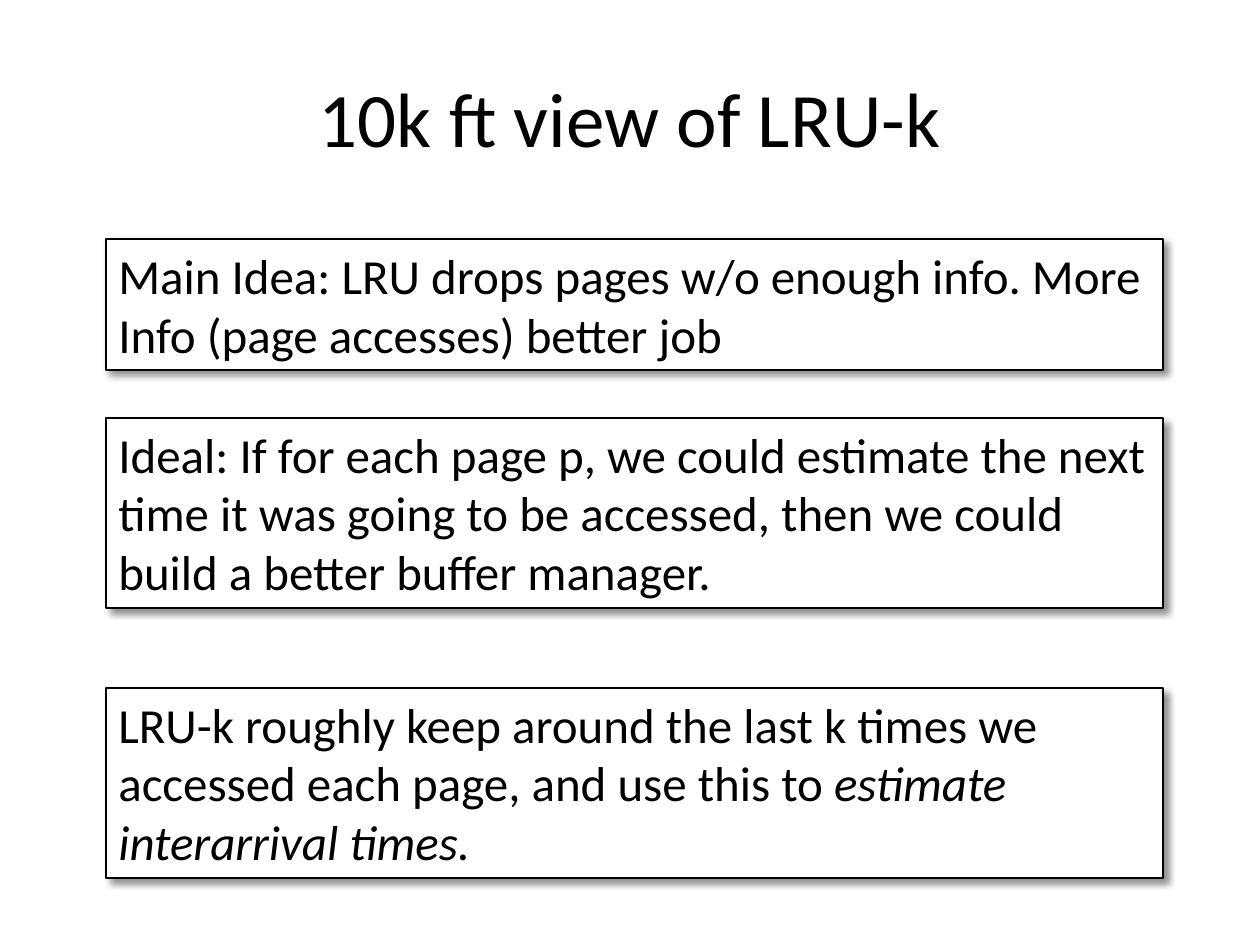
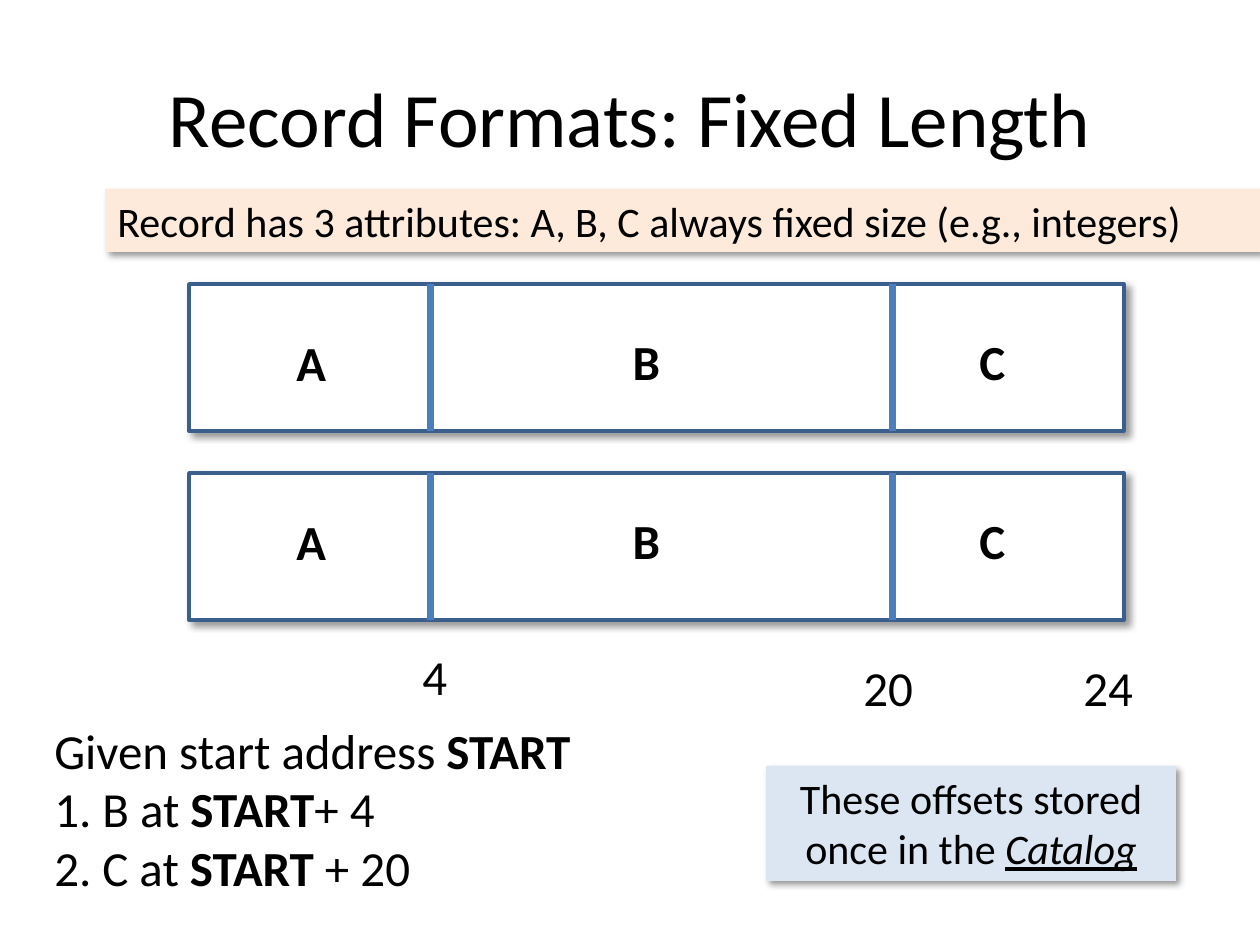
"""Build two database slides: the idea behind LRU-k and fixed-length records."""
from lxml.etree import SubElement
from pptx import Presentation
from pptx.dml.color import RGBColor
from pptx.enum.shapes import MSO_CONNECTOR, MSO_SHAPE
from pptx.enum.text import MSO_ANCHOR, PP_ALIGN
from pptx.oxml.ns import qn
from pptx.util import Pt

EMU_PER_PX = 914400 / 126
SLIDE_SIZE = (1260, 945)
FONT = "Calibri"
BLACK, WHITE = "000000", "FFFFFF"
PEACH, PALE_BLUE = "FDEADA", "DCE6F2"
RECORD_BORDER, DIVIDER = "3A5F8C", "4B7EBC"
TITLE_SIZE, BODY_SIZE, NOTE_SIZE = 44, 28, 24
TITLE_BOX = (63, 38, 1134, 158)

IDEA_LEFT, IDEA_WIDTH = 106, 1057
IDEAS = [
    (239, 131, [("Main Idea: LRU drops pages w/o enough info. More Info (page accesses) better job", "")]),
    (418, 190, [("Ideal: If for each page p, we could estimate the next time it was going to be "
                 "accessed, then we could build a better buffer manager.", "")]),
    (688, 190, [("LRU-k roughly keep around the last k times we accessed each page, and use this to ", ""),
                ("estimate interarrival times.", "i")]),
]

BANNER_BOX = (105, 189, 1155, 63)
BANNER = [("Record has 3 attributes: A, B, C always fixed size (e.g., integers)", "")]
RECORD_LEFT, RECORD_WIDTH, RECORD_HEIGHT = 189, 935, 147
RECORDS = [(284, 325), (473, 504)]
DIVIDERS = [431, 893]
FIELDS = [("A", 284, 1), ("B", 620, 0), ("C", 966, 0)]
LABEL_WIDTH, LABEL_HEIGHT = 53, 72
OFFSETS = [("4", 410, 640, LABEL_WIDTH), ("20", 851, 651, 95), ("24", 1071, 651, 95)]
ADDRESS_BOX = (42, 714, 577, 190)
ADDRESS = [
    [("Given start address ", ""), ("START", "b")],
    [("B at ", ""), ("START", "b"), ("+ 4", "")],
    [("C at ", ""), ("START", "b"), (" + 20", "")],
]
NUMBER_INDENT = 48
CATALOG_BOX = (766, 766, 410, 115)
CATALOG = [("These offsets stored once in the ", ""), ("Catalog", "iu")]


def px(length):
    return round(length * EMU_PER_PX)


def color(value):
    return RGBColor.from_string(value)


def number_paragraph(paragraph):
    properties = paragraph._p.get_or_add_pPr()
    properties.set("marL", str(px(NUMBER_INDENT)))
    properties.set("indent", str(-px(NUMBER_INDENT)))
    SubElement(properties, qn("a:buFont"), typeface="+mj-lt")
    SubElement(properties, qn("a:buAutoNum"), type="arabicPeriod")


def write(shape, paragraphs, size=BODY_SIZE, align=PP_ALIGN.LEFT, anchor=MSO_ANCHOR.TOP, numbered=False):
    frame = shape.text_frame
    frame.word_wrap = True
    frame.vertical_anchor = anchor
    for index, runs in enumerate(paragraphs):
        paragraph = frame.add_paragraph() if index else frame.paragraphs[0]
        if numbered and index:
            number_paragraph(paragraph)
        paragraph.alignment = align
        paragraph.font.name = FONT
        paragraph.font.size = Pt(size)
        paragraph.font.color.rgb = color(BLACK)
        for text, style in runs:
            run = paragraph.add_run()
            run.text = text
            if "b" in style:
                run.font.bold = True
            if "i" in style:
                run.font.italic = True
            if "u" in style:
                run.font.underline = True


def add_text(slide, box, paragraphs, **options):
    write(slide.shapes.add_textbox(*map(px, box)), paragraphs, **options)


def add_panel(slide, box, fill, border=None, border_width=0, opacity=40):
    panel = slide.shapes.add_shape(MSO_SHAPE.RECTANGLE, *map(px, box))
    panel.fill.solid()
    panel.fill.fore_color.rgb = color(fill)
    if border:
        panel.line.color.rgb = color(border)
        panel.line.width = Pt(border_width)
    else:
        panel.line.fill.background()
    panel.shadow.inherit = False
    effects = panel._element.spPr.find(qn("a:effectLst"))
    shadow = SubElement(effects, qn("a:outerShdw"), blurRad=str(Pt(4)), dist=str(Pt(3)),
                        dir=str(45 * 60000), algn="tl", rotWithShape="0")
    shade = SubElement(shadow, qn("a:srgbClr"), val=BLACK)
    SubElement(shade, qn("a:alpha"), val=str(opacity * 1000))
    return panel


def add_divider(slide, left, top):
    line = slide.shapes.add_connector(MSO_CONNECTOR.STRAIGHT, px(left), px(top),
                                      px(left), px(top + RECORD_HEIGHT))
    line.line.color.rgb = color(DIVIDER)
    line.line.width = Pt(4)
    SubElement(line._element.spPr, qn("a:effectLst"))


def add_titled_slide(presentation, title):
    slide = presentation.slides.add_slide(presentation.slide_layouts[6])
    add_text(slide, TITLE_BOX, [[(title, "")]], size=TITLE_SIZE,
             align=PP_ALIGN.CENTER, anchor=MSO_ANCHOR.MIDDLE)
    return slide


def build_idea_slide(presentation):
    slide = add_titled_slide(presentation, "10k ft view of LRU-k")
    for top, height, runs in IDEAS:
        panel = add_panel(slide, (IDEA_LEFT, top, IDEA_WIDTH, height), WHITE, BLACK, 0.75, 43)
        write(panel, [runs])


def build_record_slide(presentation):
    slide = add_titled_slide(presentation, "Record Formats: Fixed Length")
    write(add_panel(slide, BANNER_BOX, PEACH), [BANNER], size=NOTE_SIZE)
    for top, label_top in RECORDS:
        add_panel(slide, (RECORD_LEFT, top, RECORD_WIDTH, RECORD_HEIGHT), WHITE, RECORD_BORDER, 2)
        for left in DIVIDERS:
            add_divider(slide, left, top)
        for name, left, drop in FIELDS:
            add_text(slide, (left, label_top + drop, LABEL_WIDTH, LABEL_HEIGHT),
                     [[(name, "b")]], align=PP_ALIGN.CENTER)
    for offset, left, top, width in OFFSETS:
        add_text(slide, (left, top, width, LABEL_HEIGHT), [[(offset, "")]])
    add_text(slide, ADDRESS_BOX, ADDRESS, numbered=True)
    write(add_panel(slide, CATALOG_BOX, PALE_BLUE), [CATALOG], size=NOTE_SIZE, align=PP_ALIGN.CENTER)


def main():
    presentation = Presentation()
    presentation.slide_width, presentation.slide_height = map(px, SLIDE_SIZE)
    build_idea_slide(presentation)
    build_record_slide(presentation)
    presentation.save("out.pptx")


if __name__ == "__main__":
    main()
